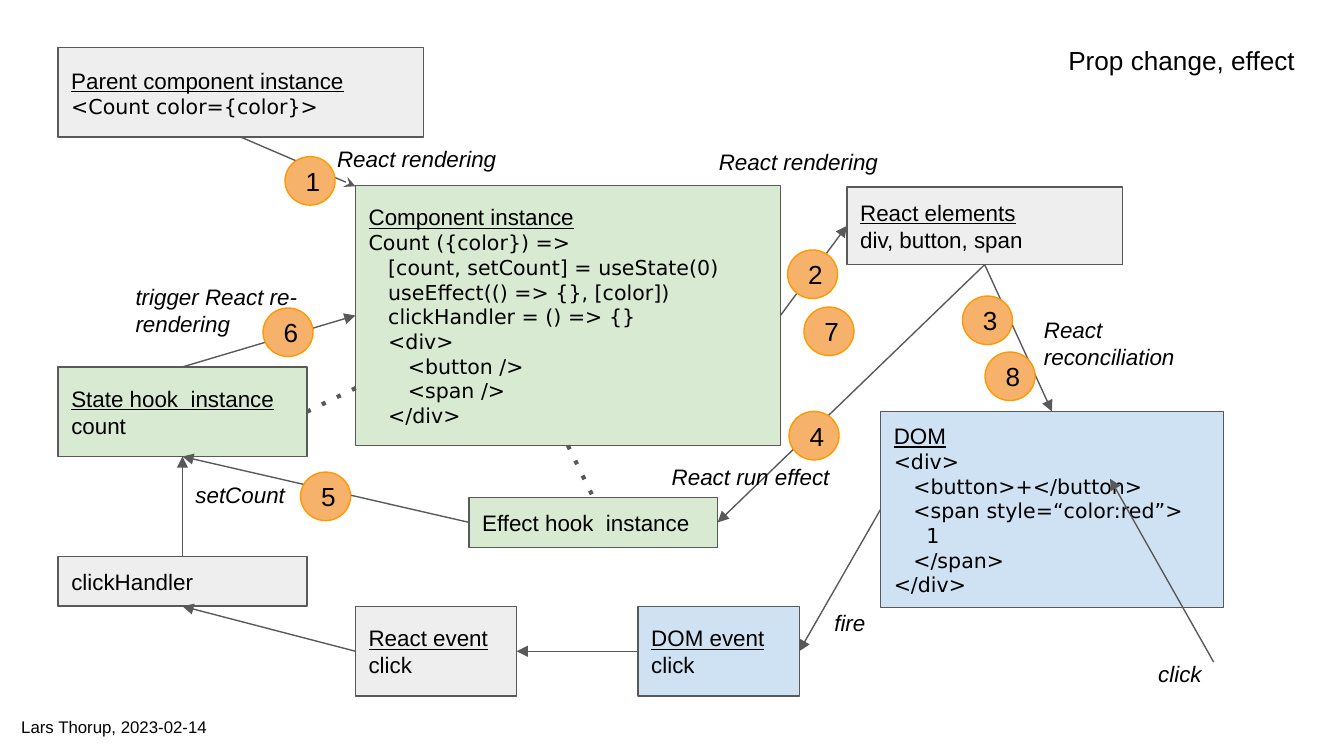
"""Build the slide that explains how a prop change triggers rendering and an effect."""
from dataclasses import dataclass
from typing import NamedTuple, Optional, Union

from lxml import etree
from pptx import Presentation
from pptx.dml.color import RGBColor
from pptx.enum.shapes import MSO_CONNECTOR, MSO_SHAPE
from pptx.enum.text import MSO_ANCHOR, MSO_AUTO_SIZE, PP_ALIGN
from pptx.oxml.ns import qn
from pptx.util import Pt

STRAIGHT = MSO_CONNECTOR.STRAIGHT
RECTANGLE, OVAL = MSO_SHAPE.RECTANGLE, MSO_SHAPE.OVAL
MIDDLE = MSO_ANCHOR.MIDDLE
GROW = MSO_AUTO_SIZE.SHAPE_TO_FIT_TEXT
LEFT, CENTER, RIGHT = PP_ALIGN.LEFT, PP_ALIGN.CENTER, PP_ALIGN.RIGHT
TOP_SIDE, LEFT_SIDE, BOTTOM_SIDE, RIGHT_SIDE = range(4)


@dataclass(frozen=True)
class Theme:
    gray: str = "EEEEEE"
    green: str = "D9EAD3"
    blue: str = "CFE2F3"
    outline: str = "595959"
    badge: str = "F6B26B"
    badge_outline: str = "FF9900"
    text: str = "000000"
    font: str = "Arial"
    code_font: str = "DejaVu Sans"
    body_size: float = 12
    code_size: float = 11
    title_size: float = 14
    footer_size: float = 9
    thin: float = 0.75
    thick: float = 2.25
    inset: float = 7.2
    code_space: float = 3.5


THEME = Theme()


class Line(NamedTuple):
    text: str
    underline: bool = False
    code: bool = False
    indent: int = 0


class Box(NamedTuple):
    left: float
    top: float
    width: float
    height: float
    fill: str
    lines: tuple[Line, ...]


class Site(NamedTuple):
    box: str
    side: int


class Point(NamedTuple):
    x: float
    y: float


class Link(NamedTuple):
    start: Union[Site, Point]
    end: Union[Site, Point]
    arrow: Optional[str] = "triangle"


class Label(NamedTuple):
    text: str
    left: float
    top: float
    width: float
    height: float = 28.8
    size: float = THEME.body_size
    italic: bool = True
    align: PP_ALIGN = LEFT


def heading(text: str) -> Line:
    return Line(text, underline=True)


def code(text: str, indent: int = 0) -> Line:
    return Line(text, code=True, indent=indent)


BOXES = {
    "parent": Box(31.1, 25.5, 196, 48, THEME.gray, (
        heading("Parent component instance"), code("<Count color={color}>"))),
    "component": Box(190.4, 99.4, 227.7, 139.3, THEME.green, (
        heading("Component instance"), code("Count ({color}) =>"),
        code("[count, setCount] = useState(0)", 3),
        code("useEffect(() => {}, [color])", 3),
        code("clickHandler = () => {}", 3), code("<div>", 3),
        code("<button />", 6), code("<span />", 6), code("</div>", 3))),
    "state": Box(31.1, 196.6, 133.3, 48, THEME.green, (
        heading("State hook  instance"), Line("count"))),
    "elements": Box(453.7, 100.2, 147.6, 41.6, THEME.gray, (
        heading("React elements"), Line("div, button, span"))),
    "dom": Box(471.7, 220.4, 183.7, 105.2, THEME.blue, (
        heading("DOM"), code("<div>"), code("<button>+</button>", 3),
        code("<span style=“color:red”>", 3), code("1", 5),
        code("</span>", 3), code("</div>"))),
    "effect": Box(251.2, 266.5, 133.3, 26.7, THEME.green, (
        Line("Effect hook  instance"),)),
    "handler": Box(31.1, 298.1, 133.3, 26.7, THEME.gray, (
        Line("clickHandler"),)),
    "react_event": Box(190.4, 324.9, 86.4, 48, THEME.gray, (
        heading("React event"), Line("click"))),
    "dom_event": Box(341.8, 324.9, 86.4, 48, THEME.blue, (
        heading("DOM event"), Line("click"))),
}

LINKS = (
    Link(Site("parent", BOTTOM_SIDE), Point(190.4, 99.8), "stealth"),
    Link(Site("component", RIGHT_SIDE), Site("elements", LEFT_SIDE)),
    Link(Site("elements", BOTTOM_SIDE), Site("dom", TOP_SIDE)),
    Link(Site("dom", LEFT_SIDE), Site("dom_event", RIGHT_SIDE)),
    Link(Site("dom_event", LEFT_SIDE), Site("react_event", RIGHT_SIDE)),
    Link(Site("react_event", LEFT_SIDE), Site("handler", BOTTOM_SIDE)),
    Link(Site("elements", BOTTOM_SIDE), Site("effect", RIGHT_SIDE)),
    Link(Site("handler", TOP_SIDE), Site("state", BOTTOM_SIDE)),
    Link(Site("state", TOP_SIDE), Site("component", LEFT_SIDE)),
    Link(Site("component", BOTTOM_SIDE), Site("effect", TOP_SIDE), None),
    Link(Point(190.6, 207.9), Site("state", RIGHT_SIDE), None),
    Link(Point(650.2, 354.7), Point(594.7, 256.5)),
    Link(Site("effect", LEFT_SIDE), Site("state", BOTTOM_SIDE)),
)

LABELS = (
    Label("React rendering", 173.5, 70.6, 107.3),
    Label("React rendering", 378, 72, 111.6),
    Label("React reconciliation", 552.2, 162, 86.4, 43.2),
    Label("React run effect", 352.8, 241.2, 124.6),
    Label("setCount", 84.2, 250.6, 75.6, align=RIGHT),
    Label("fire", 439.9, 319, 64.8),
    Label("trigger React re-rendering", 65.5, 144.7, 111.6, 43.2),
    Label("Prop change, effect", 565.2, 16.6, 147.6, 31, THEME.title_size, False),
    Label("Lars Thorup, 2023-02-14", 4.3, 378.7, 119.5, 25.2, THEME.footer_size, False),
    Label("click", 613.4, 346.3, 43.2),
)

BADGE_WIDTH, BADGE_HEIGHT = 26.8, 26
BADGES = (
    Point(152.7, 83.9), Point(421.9, 133.9), Point(515.6, 158.6), Point(422.7, 220.4),
    Point(161, 252.9), Point(140.9, 165), Point(430.7, 164.5), Point(527.7, 188.6),
)


def prepare_frame(shape):
    frame = shape.text_frame
    frame.word_wrap = True
    frame.margin_left = frame.margin_right = Pt(THEME.inset)
    frame.margin_top = frame.margin_bottom = Pt(THEME.inset)
    return frame


def format_paragraph(paragraph, size: float, align: PP_ALIGN = LEFT,
                     font_name: str = THEME.font, italic: bool = False,
                     underline: bool = False) -> None:
    paragraph.alignment = align
    for run in paragraph.runs:
        run.font.name = font_name
        run.font.size = Pt(size)
        run.font.italic = italic
        run.font.underline = underline
        run.font.color.rgb = RGBColor.from_string(THEME.text)


def add_filled_shape(slide, kind: MSO_SHAPE, left: float, top: float, width: float,
                     height: float, fill: str, outline: str):
    shape = slide.shapes.add_shape(kind, Pt(left), Pt(top), Pt(width), Pt(height))
    shape.shadow.inherit = False
    shape.fill.solid()
    shape.fill.fore_color.rgb = RGBColor.from_string(fill)
    shape.line.color.rgb = RGBColor.from_string(outline)
    shape.line.width = Pt(THEME.thin)
    prepare_frame(shape).vertical_anchor = MIDDLE
    return shape


def draw_box(slide, box: Box):
    shape = add_filled_shape(slide, RECTANGLE, *box[:5], THEME.outline)
    frame = shape.text_frame
    frame.text = "\n".join(line.text for line in box.lines)
    for paragraph, line in zip(frame.paragraphs, box.lines):
        font_name = THEME.code_font if line.code else THEME.font
        size = THEME.code_size if line.code else THEME.body_size
        format_paragraph(paragraph, size, font_name=font_name, underline=line.underline)
        if line.indent:
            properties = paragraph._p.get_or_add_pPr()
            properties.set("marL", str(Pt(line.indent * THEME.code_space)))
            properties.set("indent", "0")
    return shape


def draw_link(slide, link: Link, shapes: dict) -> None:
    start, end = (point if isinstance(point, Point) else Point(0, 0)
                  for point in (link.start, link.end))
    connector = slide.shapes.add_connector(
        STRAIGHT, Pt(start.x), Pt(start.y), Pt(end.x), Pt(end.y))
    if isinstance(link.start, Site):
        connector.begin_connect(shapes[link.start.box], link.start.side)
    if isinstance(link.end, Site):
        connector.end_connect(shapes[link.end.box], link.end.side)
    connector.line.color.rgb = RGBColor.from_string(THEME.outline)
    connector.line.width = Pt(THEME.thin if link.arrow else THEME.thick)
    properties = connector._element.spPr
    outline = properties.find(qn("a:ln"))
    if link.arrow:
        etree.SubElement(outline, qn("a:tailEnd"), type=link.arrow, w="med", len="med")
    else:
        etree.SubElement(outline, qn("a:prstDash"), val="dot")
    etree.SubElement(properties, qn("a:effectLst"))


def draw_label(slide, label: Label) -> None:
    shape = slide.shapes.add_textbox(
        Pt(label.left), Pt(label.top), Pt(label.width), Pt(label.height))
    frame = prepare_frame(shape)
    frame.auto_size = GROW
    frame.text = label.text
    format_paragraph(frame.paragraphs[0], label.size, label.align, italic=label.italic)


def draw_badge(slide, number: int, corner: Point) -> None:
    shape = add_filled_shape(slide, OVAL, corner.x, corner.y, BADGE_WIDTH, BADGE_HEIGHT,
                             THEME.badge, THEME.badge_outline)
    shape.text_frame.text = str(number)
    format_paragraph(shape.text_frame.paragraphs[0], THEME.title_size, CENTER)


def main() -> None:
    presentation = Presentation()
    presentation.slide_width, presentation.slide_height = Pt(720), Pt(405)
    slide = presentation.slides.add_slide(presentation.slide_layouts[6])
    shapes = {name: draw_box(slide, box) for name, box in BOXES.items()}
    for link in LINKS:
        draw_link(slide, link, shapes)
    for label in LABELS:
        draw_label(slide, label)
    for number, corner in enumerate(BADGES, start=1):
        draw_badge(slide, number, corner)
    presentation.save("out.pptx")


if __name__ == "__main__":
    main()
